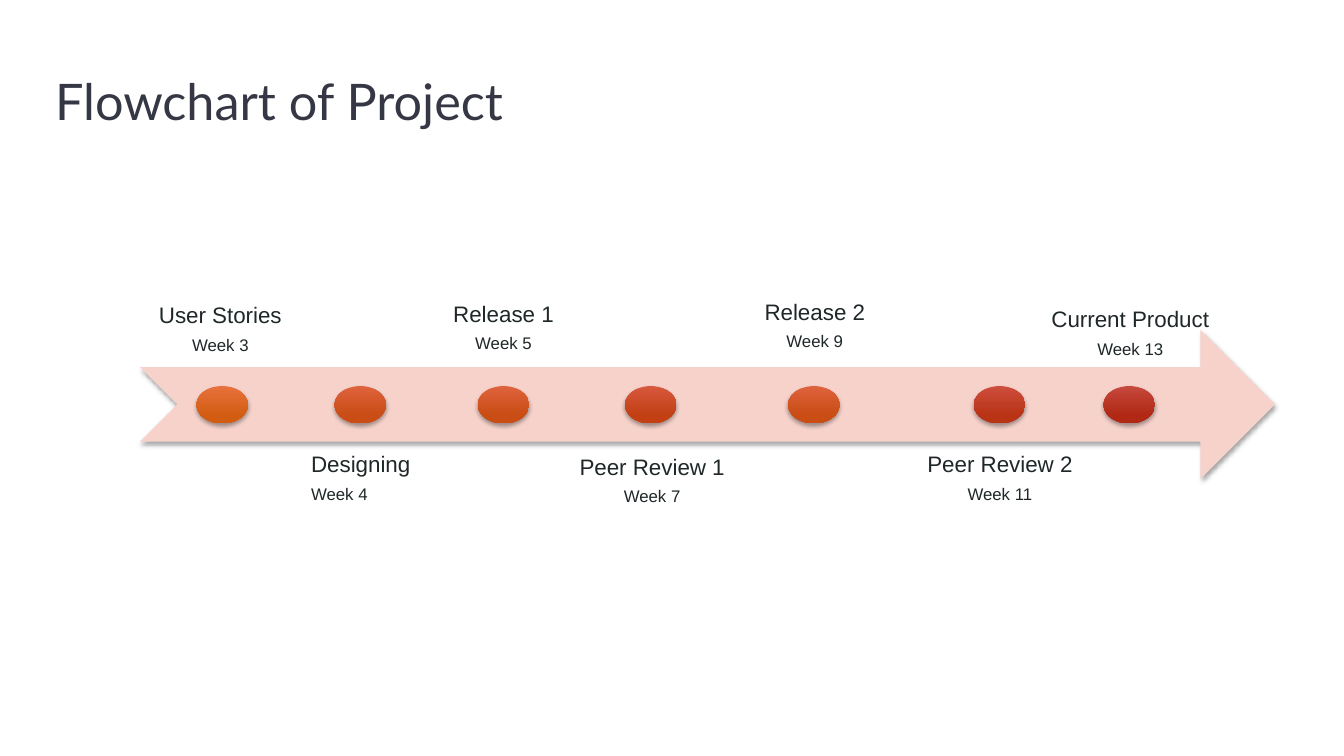
import pptx
import pptx.dml.color
import pptx.enum.shapes
import pptx.enum.text
import pptx.oxml
import pptx.oxml.ns
import pptx.util
from pptx.util import Cm

RGBColor = pptx.dml.color.RGBColor
Shape = pptx.enum.shapes.MSO_SHAPE
Align = pptx.enum.text.PP_ALIGN
Anchor = pptx.enum.text.MSO_ANCHOR
Pt = pptx.util.Pt

TITLE_COLOR = RGBColor(0x35, 0x37, 0x44)
TEXT_COLOR = RGBColor(0x20, 0x27, 0x29)
ARROW_COLOR = RGBColor(0xF6, 0xD2, 0xCB)
ORANGE = RGBColor(0xE8, 0x71, 0x3E), RGBColor(0xD2, 0x5D, 0x12)
RUST = RGBColor(0xDE, 0x63, 0x3D), RGBColor(0xC9, 0x4D, 0x14)
BRICK = RGBColor(0xD7, 0x58, 0x3D), RGBColor(0xC2, 0x40, 0x14)
RED = RGBColor(0xCD, 0x4E, 0x3D), RGBColor(0xB9, 0x33, 0x15)
CRIMSON = RGBColor(0xC6, 0x48, 0x3D), RGBColor(0xB1, 0x29, 0x15)

DOT_TOP, DOT_WIDTH, DOT_HEIGHT = 9.73, 1.3, 0.94

TITLE_FONT = {"name": "Lato", "size": Pt(36)}
NAME_FONT = {"name": "Arial", "size": Pt(16)}
WEEK_FONT = {"name": "Arial", "size": Pt(12)}

MILESTONES = [
    ("User Stories", "Week 3", 4.95, ORANGE, (3.56, 7.34, 3.99, 1.9), Anchor.BOTTOM, Align.CENTER),
    ("Designing", "Week 4", 8.43, RUST, (7.54, 11.13, 3.48, 3.76), Anchor.TOP, Align.LEFT),
    ("Release 1", "Week 5", 12.04, RUST, (10.95, 7.34, 3.48, 1.7), Anchor.TOP, Align.CENTER),
    ("Peer Review 1", "Week 7", 15.75, BRICK, (14.2, 11.35, 4.47, 1.7), Anchor.BOTTOM, Align.CENTER),
    ("Release 2", "Week 9", 19.86, RUST, (18.06, 7.29, 4.95, 2.11), Anchor.TOP, Align.CENTER),
    ("Peer Review 2", "Week 11", 24.54, RED, (23.04, 11.13, 4.32, 1.7), Anchor.TOP, Align.CENTER),
    ("Current Product", "Week 13", 27.81, CRIMSON, (26.01, 7.44, 4.95, 1.9), Anchor.BOTTOM, Align.CENTER),
]


def apply_format(target, values):
    for name, value in values.items():
        setattr(target, name, value)


def add_shadow(shape):
    shape.shadow.inherit = False
    effects = shape._element.spPr.find(pptx.oxml.ns.qn("a:effectLst"))
    effects.append(pptx.oxml.parse_xml(
        f'<a:outerShdw {pptx.oxml.ns.nsdecls("a")} blurRad="{Pt(3)}" dist="{Pt(2)}" '
        'dir="5400000" algn="ctr" rotWithShape="0"><a:srgbClr val="000000">'
        '<a:alpha val="34000"/></a:srgbClr></a:outerShdw>'))


def add_shape(slide, kind, box):
    shape = slide.shapes.add_shape(kind, *map(Cm, box))
    shape.line.fill.background()
    add_shadow(shape)
    return shape


def add_arrow(slide):
    arrow = add_shape(slide, Shape.NOTCHED_RIGHT_ARROW, (3.53, 8.31, 28.6, 3.76))
    arrow.fill.solid()
    arrow.fill.fore_color.rgb = ARROW_COLOR


def add_dot(slide, left, colors):
    dot = add_shape(slide, Shape.OVAL, (left, DOT_TOP, DOT_WIDTH, DOT_HEIGHT))
    dot.fill.gradient()
    dot.fill.gradient_angle = 270
    for stop, color, position in zip(dot.fill.gradient_stops, colors, (0, 0.78)):
        stop.color.rgb = color
        stop.position = position


def add_text(slide, box, lines, color, frame_format, paragraph_format):
    frame = slide.shapes.add_textbox(*map(Cm, box)).text_frame
    apply_format(frame, {"word_wrap": True, **frame_format})
    for index, (text, font_format) in enumerate(lines):
        paragraph = frame.add_paragraph() if index else frame.paragraphs[0]
        apply_format(paragraph, paragraph_format)
        if index:
            paragraph.space_before = Pt(5.6)
        run = paragraph.add_run()
        run.text = text
        apply_format(run.font, font_format)
        run.font.color.rgb = color


def add_label(slide, name, week, box, anchor, alignment):
    margins = dict.fromkeys(
        ("margin_left", "margin_top", "margin_right", "margin_bottom"), Cm(0.3))
    add_text(slide, box, [(name, NAME_FONT), (week, WEEK_FONT)], TEXT_COLOR,
             {"vertical_anchor": anchor, **margins},
             {"alignment": alignment, "line_spacing": 0.9})


def main():
    presentation = pptx.Presentation()
    apply_format(presentation, {"slide_width": Cm(33.87), "slide_height": Cm(19.05)})
    slide = presentation.slides.add_slide(presentation.slide_layouts[6])
    add_text(slide, (1.14, 1.65, 31.55, 2.11), [("Flowchart of Project", TITLE_FONT)],
             TITLE_COLOR, {"vertical_anchor": Anchor.TOP}, {"alignment": Align.LEFT})
    add_arrow(slide)
    for name, week, dot_left, colors, box, anchor, alignment in MILESTONES:
        add_label(slide, name, week, box, anchor, alignment)
        add_dot(slide, dot_left, colors)
    presentation.save("out.pptx")


if __name__ == "__main__":
    main()
